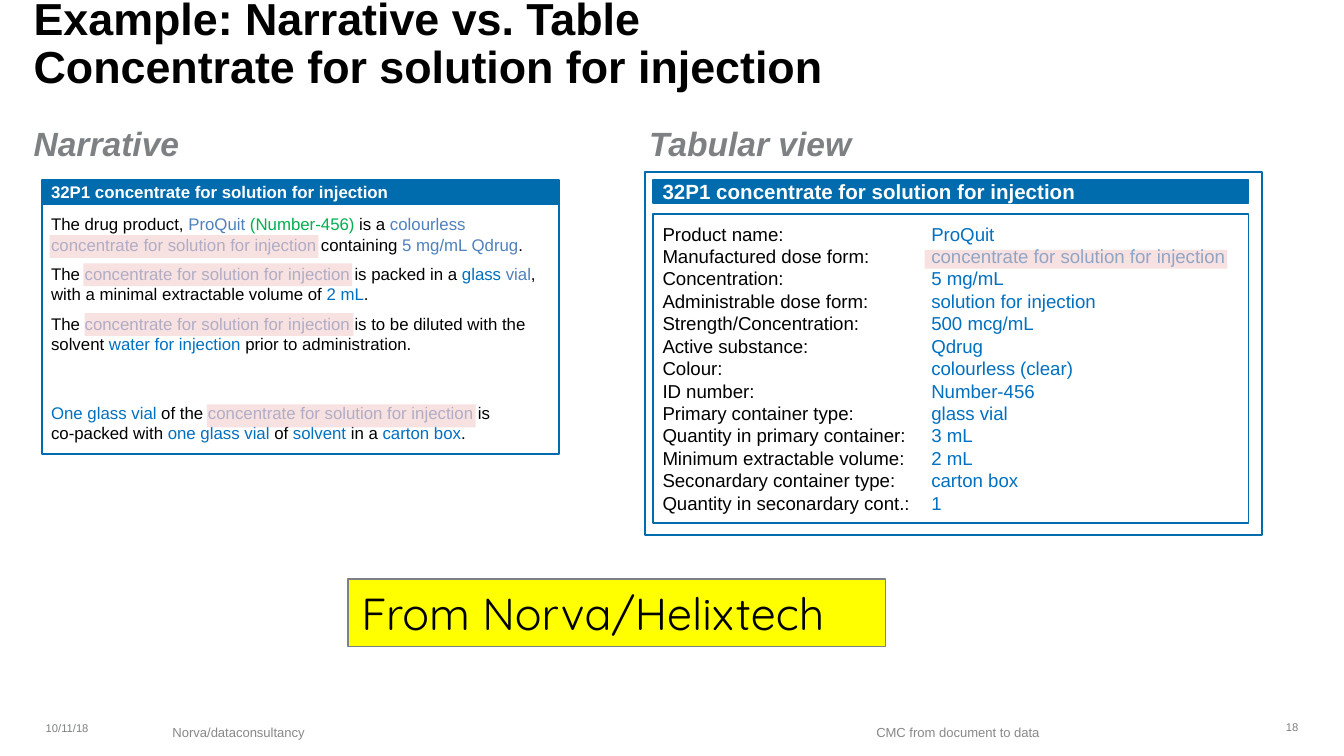
"""Build a slide that compares a narrative and a tabular product description."""
from typing import NamedTuple, Optional

from lxml.etree import SubElement
from pptx import Presentation
from pptx.dml.color import RGBColor
from pptx.enum.shapes import MSO_SHAPE as Preset
from pptx.enum.text import MSO_ANCHOR as Anchor, MSO_AUTO_SIZE as AutoSize, PP_ALIGN as Align
from pptx.oxml.ns import qn
from pptx.util import Inches, Pt

SLIDE_WIDTH = 10
SLIDE_HEIGHT = SLIDE_WIDTH * 9 / 16
BLACK, WHITE, GREY, FOOTER = "000000", "FFFFFF", "7E8183", "888888"
FRAME, BLUE, SOFT, GREEN = "006CAD", "0070C0", "4F81BD", "00B050"
PINK, YELLOW = "F4CCCC", "FFFF00"
DOSE_FORM = "concentrate for solution for injection"
HEADING = "32P1 " + DOSE_FORM
INSETS = (0.07, 0.04, 0.07, 0.04)
HEAD_INSETS = (0, 0.04, 0.07, 0.04)
NO_INSETS = (0, 0, 0, 0)
VALUE_TAB = 2


class Box(NamedTuple):
    left: float
    top: float
    width: float
    height: float


class Style(NamedTuple):
    size: float
    color: str = BLACK
    bold: bool = False
    italic: bool = False
    font: str = "Arial"


class Label(NamedTuple):
    text: str
    box: Box
    style: Style
    insets: tuple = INSETS
    anchor: Anchor = Anchor.TOP
    align: Align = Align.LEFT
    spacing: float = 1.0


class Passage(NamedTuple):
    space_before: float
    pieces: list


class Row(NamedTuple):
    name: str
    value: str


TITLE = Label("Example: Narrative vs. Table\vConcentrate for solution for injection\v",
              Box(0.25, 0.3, 8.72, 0.47), Style(24, bold=True), HEAD_INSETS,
              Anchor.MIDDLE, spacing=0.9)

LABELS = [
    Label("10/11/18", Box(0.27, 5.33, 0.55, 0.18), Style(6, GREY)),
    Label("18", Box(9.31, 5.32, 0.42, 0.18), Style(6, GREY), align=Align.RIGHT),
    Label("Narrative", Box(0.25, 0.91, 4.67, 0.42), Style(18, GREY, True, True),
          HEAD_INSETS, spacing=0.9),
    Label("Tabular view", Box(4.83, 0.91, 3.94, 0.42), Style(18, GREY, True, True),
          HEAD_INSETS, spacing=0.9),
    Label("Norva/dataconsultancy", Box(0.78, 5.38, 1.99, 0.14), Style(7, FOOTER),
          NO_INSETS, Anchor.MIDDLE, Align.CENTER),
    Label("CMC from document to data", Box(6.52, 5.38, 2.38, 0.14), Style(7, FOOTER),
          NO_INSETS, Anchor.MIDDLE),
]

NARRATIVE = [
    Passage(0, [("The drug product, ", BLACK), ("ProQuit ", SOFT), ("(Number-456) ", GREEN),
                ("is a ", BLACK), (f"colourless {DOSE_FORM} ", SOFT), ("containing", BLACK),
                (" 5 mg/mL Qdrug", SOFT), (".", BLACK)]),
    Passage(5, [("The ", BLACK), (DOSE_FORM + " ", SOFT), ("is packed in a ", BLACK),
                ("glass ", BLUE), ("vial", SOFT),
                (", with a minimal extractable volume of ", BLACK), ("2 mL", BLUE), (".", BLACK)]),
    Passage(5, [("The ", BLACK), (DOSE_FORM + " ", SOFT),
                ("is to be diluted with the solvent ", BLACK), ("water for injection ", BLUE),
                ("prior to administration.", BLACK)]),
    Passage(26, [("One glass vial", BLUE), (" of the ", BLACK), (DOSE_FORM + " ", SOFT),
                 ("is \nco-packed with ", BLACK), ("one glass vial", BLUE), (" of ", BLACK),
                 ("solvent", BLUE), (" in a ", BLACK), ("carton box", BLUE), (".", BLACK)]),
]

ROWS = [
    Row("Product name:", "ProQuit"),
    Row("Manufactured dose form:", DOSE_FORM),
    Row("Concentration:", "5 mg/mL"),
    Row("Administrable dose form:", "solution for injection"),
    Row("Strength/Concentration:", "500 mcg/mL"),
    Row("Active substance:", "Qdrug"),
    Row("Colour:", "colourless (clear)"),
    Row("ID number:", "Number-456"),
    Row("Primary container type:", "glass vial"),
    Row("Quantity in primary container:", "3 mL"),
    Row("Minimum extractable volume:", "2 mL"),
    Row("Seconardary container type:", "carton box"),
    Row("Quantity in seconardary cont.:", "1"),
]

HIGHLIGHTS = [
    Box(0.37, 1.75, 2, 0.17), Box(0.62, 1.96, 2, 0.17), Box(0.63, 2.33, 2, 0.17),
    Box(1.54, 3.01, 2, 0.17), Box(6.88, 1.86, 2.25, 0.14),
]


def rgb(value: str) -> RGBColor:
    return RGBColor.from_string(value)


def inches(values: tuple) -> list:
    return [Inches(value) for value in values]


def format_run(run, style: Style) -> None:
    font = run.font
    font.name, font.size = style.font, Pt(style.size)
    font.bold, font.italic = style.bold, style.italic
    font.color.rgb = rgb(style.color)


def prepare_frame(frame, insets: tuple, anchor: Anchor) -> None:
    frame.word_wrap, frame.auto_size = True, AutoSize.NONE
    frame.vertical_anchor = anchor
    (frame.margin_left, frame.margin_top,
     frame.margin_right, frame.margin_bottom) = inches(insets)


def fill_label(shape, label: Label) -> None:
    frame = shape.text_frame
    prepare_frame(frame, label.insets, label.anchor)
    paragraph = frame.paragraphs[0]
    paragraph.text = label.text
    paragraph.font.size = Pt(label.style.size)
    paragraph.alignment, paragraph.line_spacing = label.align, label.spacing
    paragraph.space_before = Pt(0)
    for run in paragraph.runs:
        format_run(run, label.style)


def add_label(slide, label: Label) -> None:
    fill_label(slide.shapes.add_textbox(*inches(label.box)), label)


def add_rectangle(slide, box: Box, fill: str, line: Optional[str] = None, weight: float = 1):
    shape = slide.shapes.add_shape(Preset.RECTANGLE, *inches(box))
    shape.shadow.inherit = False
    shape.fill.solid()
    shape.fill.fore_color.rgb = rgb(fill)
    if line:
        shape.line.color.rgb, shape.line.width = rgb(line), Pt(weight)
    else:
        shape.line.fill.background()
    return shape


def add_pieces(paragraph, pieces: list, size: float) -> None:
    paragraph.alignment = Align.LEFT
    for text, color in pieces:
        for index, part in enumerate(text.split("\n")):
            if index:
                paragraph.add_line_break()
            run = paragraph.add_run()
            run.text = part
            format_run(run, Style(size, color))


def add_panel(slide, box: Box, passages: list, size: float, tab: Optional[float] = None) -> None:
    frame = add_rectangle(slide, box, WHITE, FRAME).text_frame
    prepare_frame(frame, INSETS, Anchor.MIDDLE)
    for index, passage in enumerate(passages):
        paragraph = frame.add_paragraph() if index else frame.paragraphs[0]
        paragraph.space_before = Pt(passage.space_before)
        add_pieces(paragraph, passage.pieces, size)
        if tab:
            stops = SubElement(paragraph._p.get_or_add_pPr(), qn("a:tabLst"))
            SubElement(stops, qn("a:tab"), pos=str(Inches(tab)), algn="l")


def add_highlight(slide, box: Box) -> None:
    shape = add_rectangle(slide, box, PINK)
    color = shape.fill._xPr.find(qn("a:solidFill"))[0]
    SubElement(color, qn("a:alpha"), val="59000")


def main() -> None:
    presentation = Presentation()
    presentation.slide_width, presentation.slide_height = inches((SLIDE_WIDTH, SLIDE_HEIGHT))
    slide = presentation.slides.add_slide(presentation.slide_layouts[5])
    title = slide.shapes.title
    title.left, title.top, title.width, title.height = inches(TITLE.box)
    fill_label(title, TITLE)
    for label in LABELS:
        add_label(slide, label)
    add_panel(slide, Box(0.31, 1.51, 3.85, 1.87), NARRATIVE, 9)
    add_rectangle(slide, Box(4.8, 1.28, 4.59, 2.7), WHITE, FRAME)
    entries = [Passage(0, [(row.name + " \t", BLACK), (row.value, BLUE)]) for row in ROWS]
    add_panel(slide, Box(4.86, 1.59, 4.43, 2.3), entries, 10, VALUE_TAB)
    for box, size in ((Box(4.86, 1.34, 4.43, 0.17), 11), (Box(0.31, 1.34, 3.85, 0.18), 9)):
        fill_label(add_rectangle(slide, box, FRAME, FRAME),
                   Label(HEADING, box, Style(size, WHITE, True), anchor=Anchor.MIDDLE))
    for box in HIGHLIGHTS:
        add_highlight(slide, box)
    source = Label("From Norva/Helixtech", Box(2.59, 4.31, 4, 0.5),
                   Style(24, font="Quicksand"), (0.1, 0.05, 0.1, 0.05))
    fill_label(add_rectangle(slide, source.box, YELLOW, GREY, 0.75), source)
    presentation.save("out.pptx")


if __name__ == "__main__":
    main()
